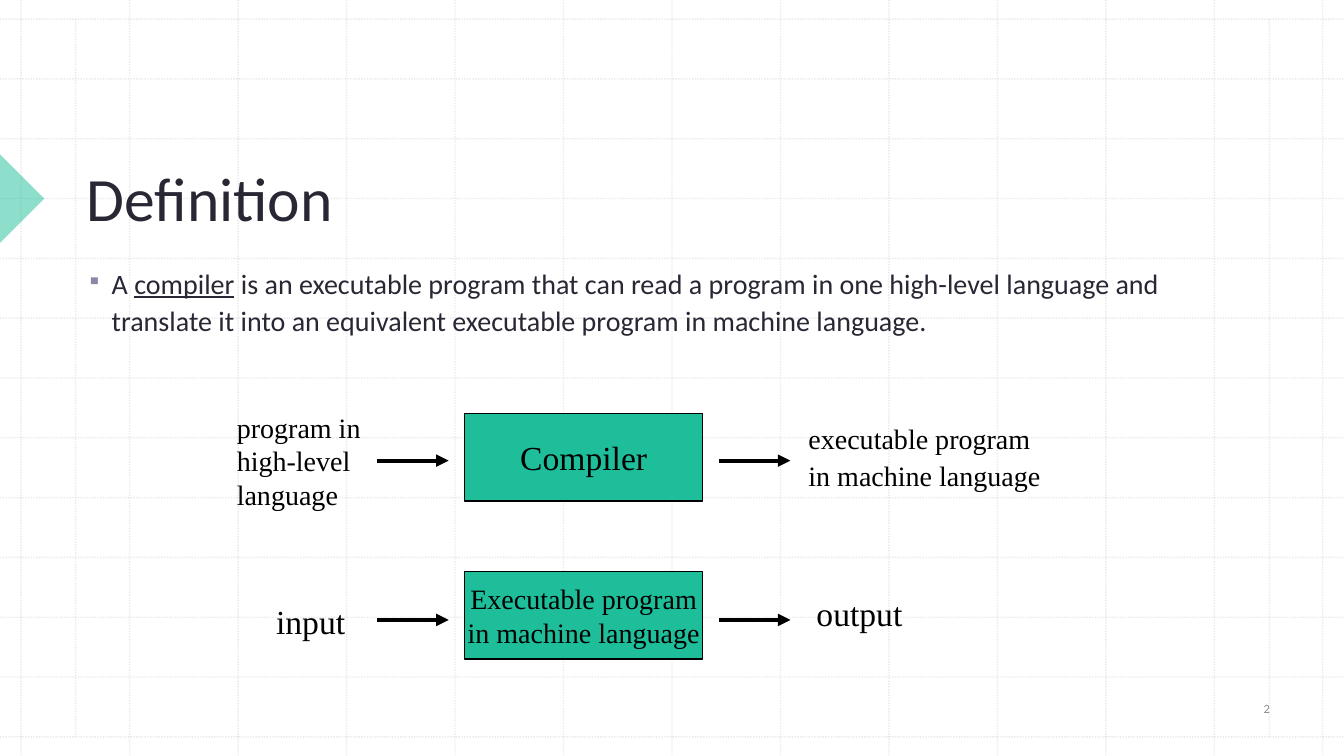
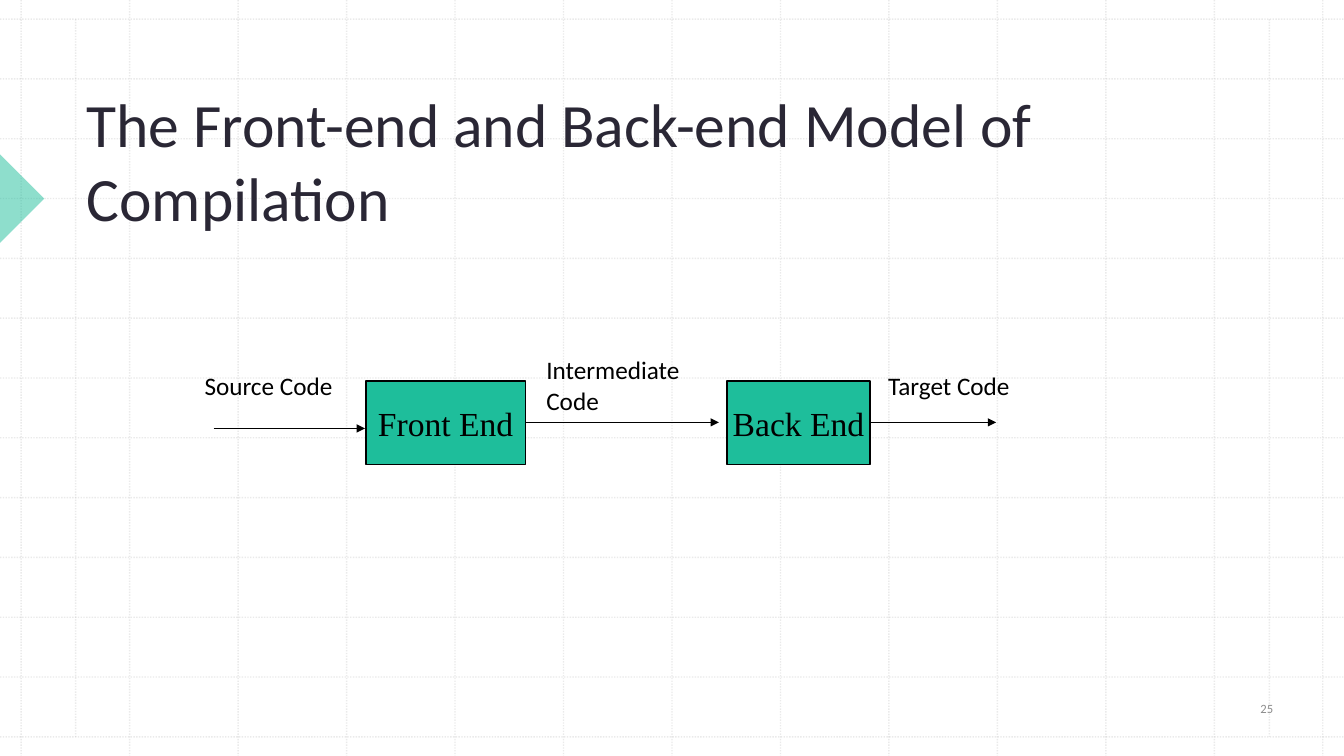
from lxml.etree import SubElement
from pptx import Presentation
from pptx.dml.color import RGBColor
from pptx.enum.dml import MSO_LINE
from pptx.enum.shapes import MSO_CONNECTOR, MSO_SHAPE
from pptx.enum.text import MSO_ANCHOR, PP_ALIGN
from pptx.oxml.ns import qn
from pptx.util import Inches, Pt

WIDTH, HEIGHT = 13.33, 7.5
COLORS = {"accent": "1EBE9B", "heading": "2A2735", "bullet": "8D87A6",
          "grid": "BCBCBC", "number": "8C8C8C", "ink": "000000"}
SANS, SERIF = "Calibri", "Times New Roman"

TITLE = {"name": SANS, "size": 44, "color": "heading"}
BODY = {"name": SANS, "size": 20, "color": "heading"}
NUMBER = {"name": SANS, "size": 9, "color": "number"}
LARGE = {"name": SERIF, "size": 24, "color": "ink"}
MEDIUM = {"name": SERIF, "size": 20, "color": "ink"}
CAPTION = {"name": SANS, "size": 18, "color": "ink"}

# Grid: first line, last line, number of gaps
GRID_COLUMNS = (0.21, 13.12, 12)
GRID_ROWS = (0.19, 7.31, 12)
MARGINS = (0.75, 12.59)

# Boxes and labels: lines, (left, top, width, height), font
# Arrows: from x, to x, y
SLIDES = [
    {
        "title": "Definition",
        "number": "2",
        "body": [
            ("A ", False), ("compiler", True),
            (" is an executable program that can read a program in one "
             "high-level language and translate it into an equivalent "
             "executable program in machine language.", False),
        ],
        "arrow_weight": 3,
        "arrows": [(start, start + 0.71, y)
                   for y in (4.57, 6.15) for start in (3.74, 7.13)],
        "boxes": [
            (["Compiler"], (4.61, 4.1, 2.36, 0.87), LARGE),
            (["Executable program", "in machine language"],
             (4.61, 5.67, 2.36, 0.87), MEDIUM),
        ],
        "labels": [
            (["program in", "high-level", "language"],
             (2.25, 4.02, 1.49, 1.1), MEDIUM, 1.0),
            (["executable program in machine language"],
             (7.92, 4.1, 2.6, 0.8), MEDIUM, 1.1),
            (["input"], (2.64, 5.91, 1.05, 0.5), LARGE, 1.0),
            (["output"], (8, 5.83, 1.2, 0.5), LARGE, 1.0),
        ],
    },
    {
        "title": "The Front-end and Back-end Model of Compilation",
        "number": "25",
        "body": [],
        "arrow_weight": 1,
        "arrows": [(2.12, 3.62, 4.25), (5.21, 7.13, 4.19), (8.63, 9.88, 4.19)],
        "boxes": [
            (["Front End"], (3.63, 3.78, 1.58, 0.83), LARGE),
            (["Back End"], (7.21, 3.78, 1.42, 0.83), LARGE),
        ],
        "labels": [
            (["Source Code"], (1.93, 3.62, 1.65, 0.4), CAPTION, 1.0),
            (["Intermediate Code"], (5.32, 3.47, 1.71, 0.71), CAPTION, 1.0),
            (["Target Code"], (8.71, 3.62, 1.57, 0.4), CAPTION, 1.0),
        ],
    },
]


def rgb(name):
    return RGBColor.from_string(COLORS[name])


def inches(lengths):
    return [Inches(length) for length in lengths]


def set_opacity(fill_owner, percent):
    """Make the solid fill below the given element partly transparent."""
    color = next(fill_owner.iter(qn("a:srgbClr")))
    SubElement(color, qn("a:alpha"), val=str(percent * 1000))


def add_run(paragraph, text, style, underline=False):
    run = paragraph.add_run()
    run.text = text
    formats = {"name": style["name"], "size": Pt(style["size"]),
               "underline": underline or None}
    for attribute, value in formats.items():
        setattr(run.font, attribute, value)
    run.font.color.rgb = rgb(style["color"])


def write_lines(shape, lines, style, wrap=True, anchor=MSO_ANCHOR.TOP,
                align=PP_ALIGN.LEFT, spacing=1.0):
    frame = shape.text_frame
    frame.word_wrap = wrap
    frame.vertical_anchor = anchor
    for index, line in enumerate(lines):
        paragraph = frame.add_paragraph() if index else frame.paragraphs[0]
        paragraph.alignment = align
        paragraph.line_spacing = spacing
        add_run(paragraph, line, style)


def add_text(slide, place, lines, style, **layout):
    box = slide.shapes.add_textbox(*inches(place))
    write_lines(box, lines, style, **layout)


def add_line(slide, ends, color, weight):
    line = slide.shapes.add_connector(MSO_CONNECTOR.STRAIGHT, *inches(ends))
    line.line.color.rgb = rgb(color)
    line.line.width = Pt(weight)
    SubElement(line._element.spPr, qn("a:effectLst"))
    return line


def add_grid(slide):
    def positions(first, last, gaps):
        return [first + (last - first) * i / gaps for i in range(gaps + 1)]

    top, bottom, _ = GRID_ROWS
    ends = [(x, 0, x, HEIGHT) for x in positions(*GRID_COLUMNS)]
    ends += [(0, y, WIDTH, y) for y in positions(*GRID_ROWS)]
    ends += [(x, top, x, bottom) for x in MARGINS]
    for line_ends in ends:
        line = add_line(slide, line_ends, "grid", 1)
        line.line.dash_style = MSO_LINE.ROUND_DOT
        set_opacity(line.line._get_or_add_ln(), 30)


def add_marker(slide):
    """Triangle at the left edge, pointing at the title."""
    side, middle = 0.62, 1.97
    marker = slide.shapes.add_shape(
        MSO_SHAPE.RIGHT_TRIANGLE,
        *inches((-side / 2, middle - side / 2, side, side)))
    marker.rotation = 225
    marker.shadow.inherit = False
    marker.fill.solid()
    marker.fill.fore_color.rgb = rgb("accent")
    set_opacity(marker._element.spPr, 50)
    marker.line.fill.background()


def add_body(slide, runs):
    box = slide.shapes.add_textbox(*inches((0.76, 2.56, 11.29, 3.9)))
    box.text_frame.word_wrap = True
    paragraph = box.text_frame.paragraphs[0]
    properties = paragraph._p.get_or_add_pPr()
    properties.set("marL", str(Inches(0.25)))
    properties.set("indent", str(Inches(-0.25)))
    bullet_color = SubElement(properties, qn("a:buClr"))
    SubElement(bullet_color, qn("a:srgbClr"), val=COLORS["bullet"])
    SubElement(properties, qn("a:buSzPct"), val="75000")
    SubElement(properties, qn("a:buChar"), char="▪")
    paragraph.line_spacing = 1.1
    for text, underline in runs:
        add_run(paragraph, text, BODY, underline)


def add_arrow(slide, start, end, y, weight):
    arrow = add_line(slide, (start, y, end, y), "ink", weight)
    SubElement(arrow.line._get_or_add_ln(), qn("a:tailEnd"), type="triangle")


def add_box(slide, lines, place, style):
    box = slide.shapes.add_shape(MSO_SHAPE.RECTANGLE, *inches(place))
    box.shadow.inherit = False
    box.fill.solid()
    box.fill.fore_color.rgb = rgb("accent")
    box.line.color.rgb = rgb("ink")
    box.line.width = Pt(1)
    write_lines(box, lines, style, wrap=False, anchor=MSO_ANCHOR.MIDDLE,
                align=PP_ALIGN.CENTER)


def build_slide(presentation, content):
    slide = presentation.slides.add_slide(presentation.slide_layouts[6])
    add_grid(slide)
    add_marker(slide)
    add_text(slide, (0.76, 0.79, 11.29, 1.58), [content["title"]], TITLE,
             anchor=MSO_ANCHOR.BOTTOM)
    if content["body"]:
        add_body(slide, content["body"])
    for arrow in content["arrows"]:
        add_arrow(slide, *arrow, content["arrow_weight"])
    for box in content["boxes"]:
        add_box(slide, *box)
    for lines, place, style, spacing in content["labels"]:
        add_text(slide, place, lines, style, spacing=spacing)
    add_text(slide, (12.03, 6.8, 1.07, 0.46), [content["number"]], NUMBER,
             anchor=MSO_ANCHOR.MIDDLE, align=PP_ALIGN.CENTER)


def main():
    presentation = Presentation()
    presentation.slide_width = Inches(WIDTH)
    presentation.slide_height = Inches(HEIGHT)
    for content in SLIDES:
        build_slide(presentation, content)
    presentation.save("out.pptx")


if __name__ == "__main__":
    main()
